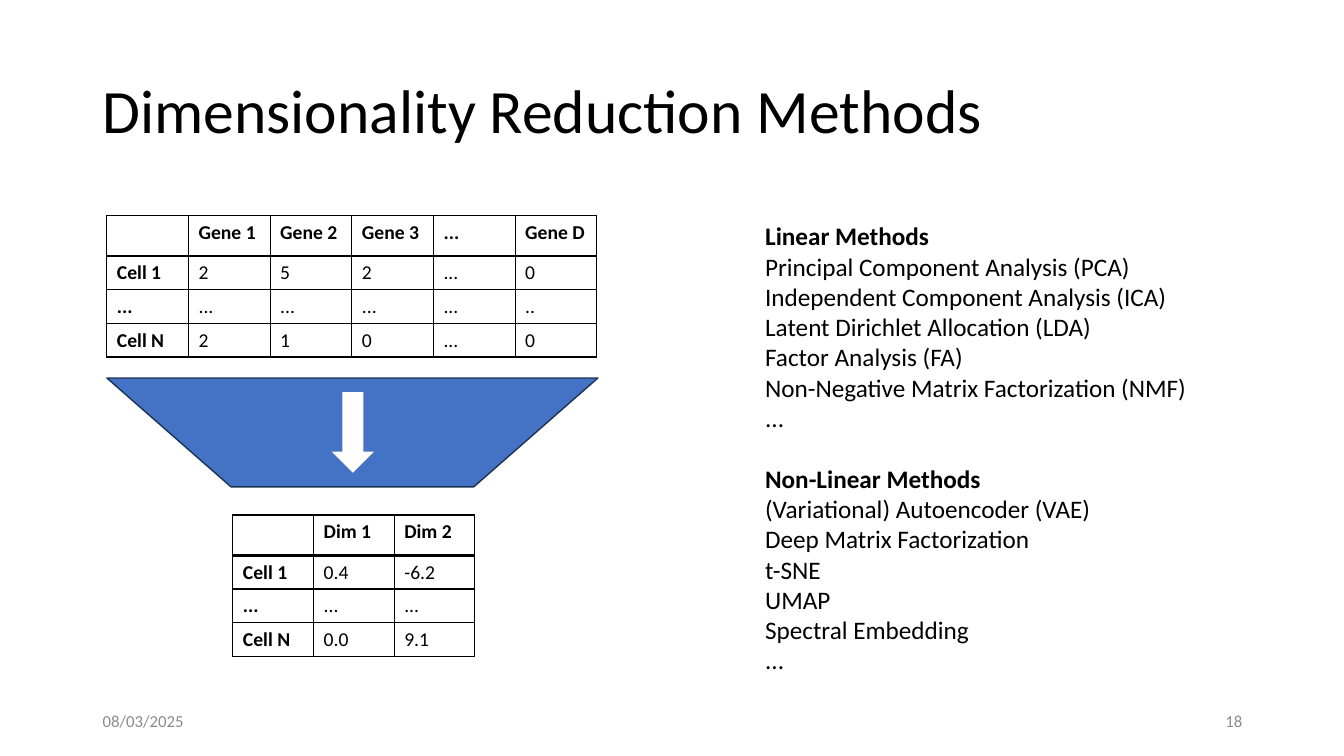
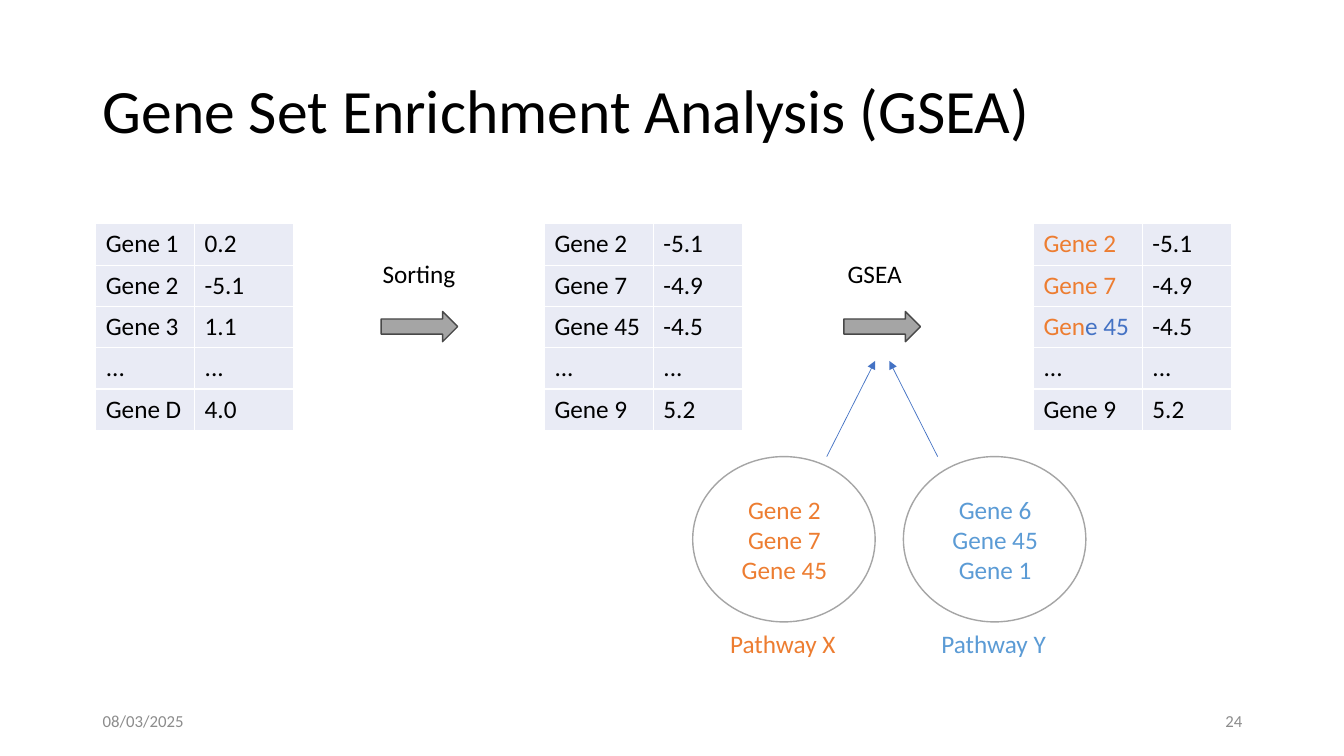
"""Builds two slides on dimensionality reduction and gene set enrichment analysis."""
from lxml.etree import SubElement
from pptx import Presentation
from pptx.dml.color import RGBColor
from pptx.enum.shapes import MSO_CONNECTOR as CONNECTOR, MSO_SHAPE as SHAPE
from pptx.enum.text import MSO_ANCHOR as ANCHOR, PP_ALIGN as ALIGN
from pptx.oxml.ns import qn
from pptx.util import Inches, Pt

FONT = "Calibri"
HEX = {
    "black": "000000", "white": "FFFFFF", "grey": "8C8C8C", "cell": "E9EBF5",
    "blue": "4472C4", "navy": "1E3256", "orange": "ED7D31", "sky": "5B9BD5",
    "silver": "A5A5A5", "charcoal": "484848",
}
COLORS = {name: RGBColor.from_string(value) for name, value in HEX.items()}


def write_lines(frame, lines, size, align=ALIGN.LEFT):
    for index, runs in enumerate(lines):
        paragraph = frame.paragraphs[0] if index == 0 else frame.add_paragraph()
        paragraph.alignment = align
        for text, color, bold in runs:
            run = paragraph.add_run()
            run.text = text
            run.font.name = FONT
            run.font.size = Pt(size)
            run.font.bold = bold
            run.font.color.rgb = COLORS[color]


def add_text(slide, box, lines, size=18, align=ALIGN.CENTER, anchor=ANCHOR.TOP):
    frame = slide.shapes.add_textbox(*map(Inches, box)).text_frame
    frame.word_wrap = True
    frame.vertical_anchor = anchor
    write_lines(frame, lines, size, align)
    return frame


presentation = Presentation()
presentation.slide_width = Inches(13.33)
presentation.slide_height = Inches(7.5)

slides = []
for title, number in [("Dimensionality Reduction Methods", "18"),
                      ("Gene Set Enrichment Analysis (GSEA)", "24")]:
    slide = presentation.slides.add_slide(presentation.slide_layouts[6])
    slides.append(slide)
    frame = add_text(slide, (0.92, 0.4, 11.5, 1.45), [[(title, "black", False)]],
                     44, ALIGN.LEFT, ANCHOR.MIDDLE)
    frame.paragraphs[0].line_spacing = 0.9
    for left, text, align in [(0.92, "08/03/2025", ALIGN.LEFT), (9.42, number, ALIGN.RIGHT)]:
        add_text(slide, (left, 6.95, 3, 0.4), [[(text, "grey", False)]],
                 12, align, ANCHOR.MIDDLE)
methods_slide, enrichment_slide = slides

counts = [
    ["", "Gene 1", "Gene 2", "Gene 3", "...", "Gene D"],
    ["Cell 1", "2", "5", "2", "...", "0"],
    ["...", "...", "...", "...", "...", ".."],
    ["Cell N", "2", "1", "0", "...", "0"],
]
reduced = [
    ["", "Dim 1", "Dim 2"],
    ["Cell 1", "0.4", "-6.2"],
    ["...", "...", "..."],
    ["Cell N", "0.0", "9.1"],
]
unsorted_genes = [["Gene 1", "0.2"], ["Gene 2", "-5.1"], ["Gene 3", "1.1"],
                  ["...", "..."], ["Gene D", "4.0"]]
sorted_genes = [["Gene 2", "-5.1"], ["Gene 7", "-4.9"], ["Gene 45", "-4.5"],
                ["...", "..."], ["Gene 9", "5.2"]]
pathway_marks = {
    "Gene 2": [("Gene 2", "orange", False)],
    "Gene 7": [("Gene 7", "orange", False)],
    "Gene 45": [("Gen", "orange", False), ("e 45", "blue", False)],
}

matrix_style = {"size": 14, "height": 0.33, "border": "black", "fill": None}
gene_style = {"size": 18, "height": 0.41, "border": "white", "fill": "cell"}
tables = [
    (methods_slide, 1.06, 2.14, [0.81] * 6, counts, matrix_style, {}),
    (methods_slide, 2.31, 5.11, [0.8] * 3, reduced, matrix_style, {}),
    (enrichment_slide, 0.95, 2.22, [0.98] * 2, unsorted_genes, gene_style, {}),
    (enrichment_slide, 5.4, 2.22, [1.08, 0.89], sorted_genes, gene_style, {}),
    (enrichment_slide, 10.25, 2.22, [1.08, 0.89], sorted_genes, gene_style, pathway_marks),
]
for slide, left, top, widths, rows, style, marks in tables:
    has_header = style is matrix_style
    table = slide.shapes.add_table(
        len(rows), len(widths), Inches(left), Inches(top),
        Inches(sum(widths)), Inches(style["height"] * len(rows))).table
    table.first_row = table.horz_banding = False
    for column, width in zip(table.columns, widths):
        column.width = Inches(width)
    for row_index, row in enumerate(rows):
        table.rows[row_index].height = Inches(style["height"])
        for column_index, text in enumerate(row):
            cell = table.cell(row_index, column_index)
            bold = has_header and 0 in (row_index, column_index)
            runs = marks.get(text, [(text, "black", bold)])
            write_lines(cell.text_frame, [runs], style["size"])
            properties = cell._tc.get_or_add_tcPr()
            for side, header_row in [("L", None), ("R", None), ("T", 1), ("B", 0)]:
                thick = has_header and row_index == header_row
                border = SubElement(properties, qn(f"a:ln{side}"), w=str(Pt(2 if thick else 1)))
                solid = SubElement(border, qn("a:solidFill"))
                SubElement(solid, qn("a:srgbClr"), val=HEX[style["border"]])
            if style["fill"]:
                cell.fill.solid()
                cell.fill.fore_color.rgb = COLORS[style["fill"]]
            else:
                cell.fill.background()

pathways = [
    (6.87, "Pathway X", "orange", ["Gene 2", "Gene 7", "Gene 45"], 8.2, 8.68),
    (8.96, "Pathway Y", "sky", ["Gene 6", "Gene 45", "Gene 1"], 9.3, 8.82),
]
shapes = [
    (methods_slide, SHAPE.TRAPEZOID, (1.06, 3.75, 4.87, 1.08), "blue", "navy"),
    (methods_slide, SHAPE.DOWN_ARROW, (3.29, 3.89, 0.42, 0.8), "white", None),
    (enrichment_slide, SHAPE.RIGHT_ARROW, (3.78, 3.09, 0.76, 0.3), "silver", "charcoal"),
    (enrichment_slide, SHAPE.RIGHT_ARROW, (8.37, 3.09, 0.76, 0.3), "silver", "charcoal"),
] + [(enrichment_slide, SHAPE.OVAL, (pathway[0], 4.53, 1.81, 1.64), None, "silver")
     for pathway in pathways]
for slide, kind, box, fill, line in shapes:
    shape = slide.shapes.add_shape(kind, *map(Inches, box))
    shape.shadow.inherit = False
    if kind == SHAPE.TRAPEZOID:
        shape.rotation = 180
        shape.adjustments[0] = 1.14
    if fill:
        shape.fill.solid()
        shape.fill.fore_color.rgb = COLORS[fill]
    else:
        shape.fill.background()
    if line:
        shape.line.color.rgb = COLORS[line]
        shape.line.width = Pt(1)
    else:
        shape.line.fill.background()

linear = ["Principal Component Analysis (PCA)", "Independent Component Analysis (ICA)",
          "Latent Dirichlet Allocation (LDA)", "Factor Analysis (FA)",
          "Non-Negative Matrix Factorization (NMF)", "..."]
non_linear = ["(Variational) Autoencoder (VAE)", "Deep Matrix Factorization", "t-SNE",
              "UMAP", "Spectral Embedding", "..."]
method_lines = []
for heading, methods in [("Linear Methods", linear), ("Non-Linear Methods", non_linear)]:
    method_lines.append([(heading, "black", True)])
    method_lines += [[(method, "black", False)] for method in methods]
frame = add_text(methods_slide, (7.49, 2.14, 4.45, 5.25), method_lines, align=ALIGN.LEFT)
frame.paragraphs[len(linear) + 1].space_before = Pt(22)

for left, step in [(3.17, "Sorting"), (7.69, "GSEA")]:
    add_text(enrichment_slide, (left, 2.51, 1.97, 0.4), [[(step, "black", False)]])

for left, name, color, genes, start, end in pathways:
    add_text(enrichment_slide, (left + 0.28, 4.85, 1.26, 1.01),
             [[(gene, color, False)] for gene in genes])
    add_text(enrichment_slide, (left - 0.09, 6.18, 1.97, 0.4), [[(name, color, False)]])
    connector = enrichment_slide.shapes.add_connector(
        CONNECTOR.STRAIGHT, Inches(start), Inches(4.53), Inches(end), Inches(3.58))
    connector.line.color.rgb = COLORS["blue"]
    connector.line.width = Pt(0.5)
    SubElement(connector.line._get_or_add_ln(), qn("a:tailEnd"), type="triangle")
    SubElement(connector._element.spPr, qn("a:effectLst"))

presentation.save("out.pptx")
